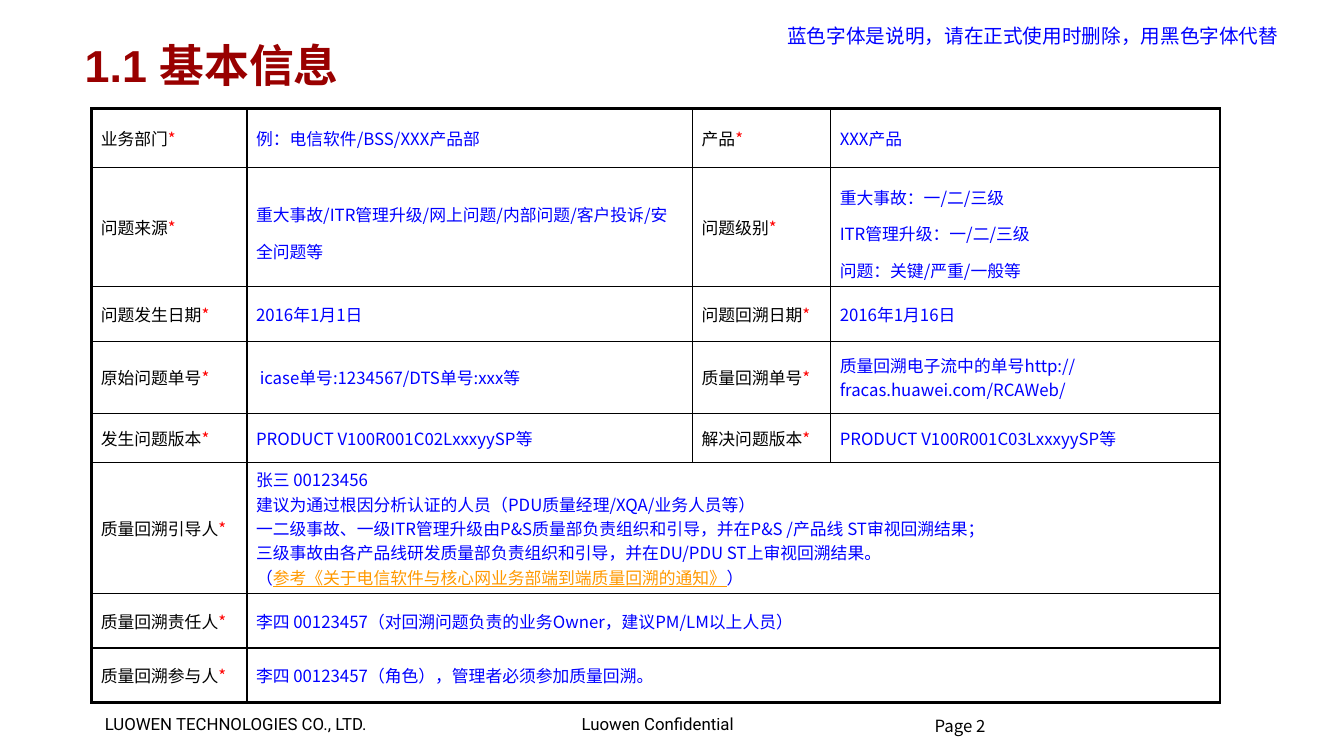
"""Build the basic information slide of a quality review report."""
from dataclasses import dataclass

from lxml.etree import SubElement
from pptx import Presentation
from pptx.dml.color import RGBColor
from pptx.enum.text import MSO_ANCHOR, MSO_AUTO_SIZE
from pptx.oxml.ns import qn
from pptx.util import Pt

EMU_PER_PX = 9144


@dataclass(frozen=True)
class Theme:
    """Colours, fonts and sizes in points."""

    black: str = "000000"
    title_red: str = "990000"
    star_red: str = "FF0000"
    hint_blue: str = "0000FF"
    link_orange: str = "FF9900"
    body_font: str = "Noto Sans CJK SC"
    title_font: str = "Arial"
    footer_font: str = "Roboto"
    body_size: int = 12
    note_size: int = 14
    title_size: int = 32
    thin_line: float = 1
    thick_line: float = 2.25


THEME = Theme()
LINK = "参考《关于电信软件与核心网业务部端到端质量回溯的通知》"
COLUMN_WIDTHS = (154, 442, 137, 386)
ROW_HEIGHTS = (58, 118, 55, 71, 49, 130, 54, 54)
LOOSE_CELLS = ((1, 1), (1, 3))
ROWS = (
    ("业务部门", "例：电信软件/BSS/XXX产品部", "产品", "XXX产品"),
    ("问题来源", "重大事故/ITR管理升级/网上问题/内部问题/客户投诉/安全问题等",
     "问题级别", "重大事故：一/二/三级\nITR管理升级：一/二/三级\n问题：关键/严重/一般等"),
    ("问题发生日期", "2016年1月1日", "问题回溯日期", "2016年1月16日"),
    ("原始问题单号", " icase单号:1234567/DTS单号:xxx等",
     "质量回溯单号", "质量回溯电子流中的单号http://fracas.huawei.com/RCAWeb/"),
    ("发生问题版本", "PRODUCT V100R001C02LxxxyySP等",
     "解决问题版本", "PRODUCT V100R001C03LxxxyySP等"),
    ("质量回溯引导人",
     "张三 00123456\n"
     "建议为通过根因分析认证的人员（PDU质量经理/XQA/业务人员等）\n"
     "一二级事故、一级ITR管理升级由P&S质量部负责组织和引导，并在P&S /产品线 ST审视回溯结果；\n"
     "三级事故由各产品线研发质量部负责组织和引导，并在DU/PDU ST上审视回溯结果。\n"
     f"（{LINK}）"),
    ("质量回溯责任人", "李四 00123457（对回溯问题负责的业务Owner，建议PM/LM以上人员）"),
    ("质量回溯参与人", "李四 00123457（角色），管理者必须参加质量回溯。"),
)


class SlideBuilder:
    """Draws styled elements on the current slide."""

    def __init__(self, slide, theme):
        """Keep the slide and its theme."""
        self.slide = slide
        self.theme = theme

    def px(self, value):
        """Turn px into EMU."""
        return value * EMU_PER_PX

    def format_run(self, run, color, size, font, bold=False):
        """Apply a colour, size and typeface to a run."""
        run.font.size = Pt(size)
        run.font.bold = bold
        run.font.color.rgb = RGBColor.from_string(color)
        run.font.name = font
        SubElement(run.font._element, qn("a:ea"), typeface=self.theme.body_font)

    def text(self, words, box, color, size, font, margins=(9, 4, 9, 4),
             wrap=False, bold=False, anchor=MSO_ANCHOR.TOP, spacing=None):
        """Add a one-line text box."""
        shape = self.slide.shapes.add_textbox(*map(self.px, box))
        frame = shape.text_frame
        frame.text = words
        frame.word_wrap = wrap
        frame.auto_size = MSO_AUTO_SIZE.NONE if wrap else MSO_AUTO_SIZE.SHAPE_TO_FIT_TEXT
        frame.vertical_anchor = anchor
        self.set_margins(frame, margins)
        paragraph = frame.paragraphs[0]
        paragraph.line_spacing = spacing
        self.format_run(paragraph.runs[0], color, size, font, bold)

    def set_margins(self, target, margins):
        """Set the insets of a text frame or a cell."""
        target.margin_left, target.margin_top, target.margin_right, target.margin_bottom = map(
            self.px, margins)

    def fill_cell(self, cell, words, is_label, spacing):
        """Write a starred label or a blue hint into a cell."""
        theme = self.theme
        frame = cell.text_frame
        frame.text = words
        for paragraph in frame.paragraphs:
            paragraph.line_spacing = spacing
            if is_label:
                paragraph.add_run().text = "*"
                colors = (theme.black, theme.star_red)
            elif LINK in paragraph.text:
                before, after = paragraph.text.split(LINK)
                paragraph.text = before
                for part in (LINK, after):
                    paragraph.add_run().text = part
                paragraph.runs[1].font.underline = True
                colors = (theme.hint_blue, theme.link_orange, theme.hint_blue)
            else:
                colors = (theme.hint_blue,)
            for run, color in zip(paragraph.runs, colors):
                self.format_run(run, color, theme.body_size, theme.body_font)

    def border_cell(self, cell, thick_sides):
        """Draw the four borders of a cell and leave it unfilled."""
        properties = cell._tc.get_or_add_tcPr()
        for side in "LRTB":
            width = self.theme.thick_line if side in thick_sides else self.theme.thin_line
            line = SubElement(properties, qn(f"a:ln{side}"), w=str(Pt(width)))
            fill = SubElement(line, qn("a:solidFill"))
            SubElement(fill, qn("a:srgbClr"), val=self.theme.black)
        cell.fill.background()

    def table(self, rows, box, widths, heights):
        """Add the form table, merging the hint of two-cell rows."""
        last_row, last_column = len(heights) - 1, len(widths) - 1
        frame = self.slide.shapes.add_table(len(heights), len(widths), *map(self.px, box))
        table = frame.table
        table.first_row = table.horz_banding = False
        for column, width in zip(table.columns, widths):
            column.width = self.px(width)
        for row, height in zip(table.rows, heights):
            row.height = self.px(height)
        for row_index, row in enumerate(rows):
            if len(row) == 2:
                table.cell(row_index, 1).merge(table.cell(row_index, last_column))
            for column_index in range(len(widths)):
                cell = table.cell(row_index, column_index)
                end = column_index + (cell.span_width - 1 if cell.is_merge_origin else 0)
                edges = {"L": column_index == 0, "R": end == last_column,
                         "T": row_index == 0, "B": row_index == last_row}
                vertical = 4 if column_index < 2 else 5
                self.set_margins(cell, (9, vertical, 9, vertical))
                cell.vertical_anchor = MSO_ANCHOR.MIDDLE
                self.border_cell(cell, [side for side, outer in edges.items() if outer])
                if column_index < len(row):
                    spacing = 1.5 if (row_index, column_index) in LOOSE_CELLS else None
                    self.fill_cell(cell, row[column_index], column_index % 2 == 0, spacing)


def main():
    """Build and save the presentation."""
    presentation = Presentation()
    presentation.slide_width = 1333 * EMU_PER_PX
    presentation.slide_height = 750 * EMU_PER_PX
    slide = presentation.slides.add_slide(presentation.slide_layouts[6])
    builder = SlideBuilder(slide, THEME)
    for words, left, width in (("LUOWEN TECHNOLOGIES CO., LTD.", 95, 286),
                               ("Luowen Confidential", 568, 180)):
        builder.text(words, (left, 704, width, 29), THEME.black,
                     THEME.body_size, THEME.footer_font)
    builder.text("Page 2", (927, 713, 306, 50), THEME.black, THEME.body_size,
                 THEME.body_font, margins=(0, 0, 0, 0), wrap=True, spacing=0.85)
    builder.text("1.1 基本信息", (84, 30, 847, 68), THEME.title_red, THEME.title_size,
                 THEME.title_font, margins=(0, 4, 9, 4), wrap=True, bold=True,
                 anchor=MSO_ANCHOR.MIDDLE)
    builder.table(ROWS, (91, 108, sum(COLUMN_WIDTHS), sum(ROW_HEIGHTS)),
                  COLUMN_WIDTHS, ROW_HEIGHTS)
    builder.text("蓝色字体是说明，请在正式使用时删除，用黑色字体代替", (771, 19, 518, 34),
                 THEME.hint_blue, THEME.note_size, THEME.body_font, margins=(10, 5, 10, 5))
    presentation.save("out.pptx")


if __name__ == "__main__":
    main()
